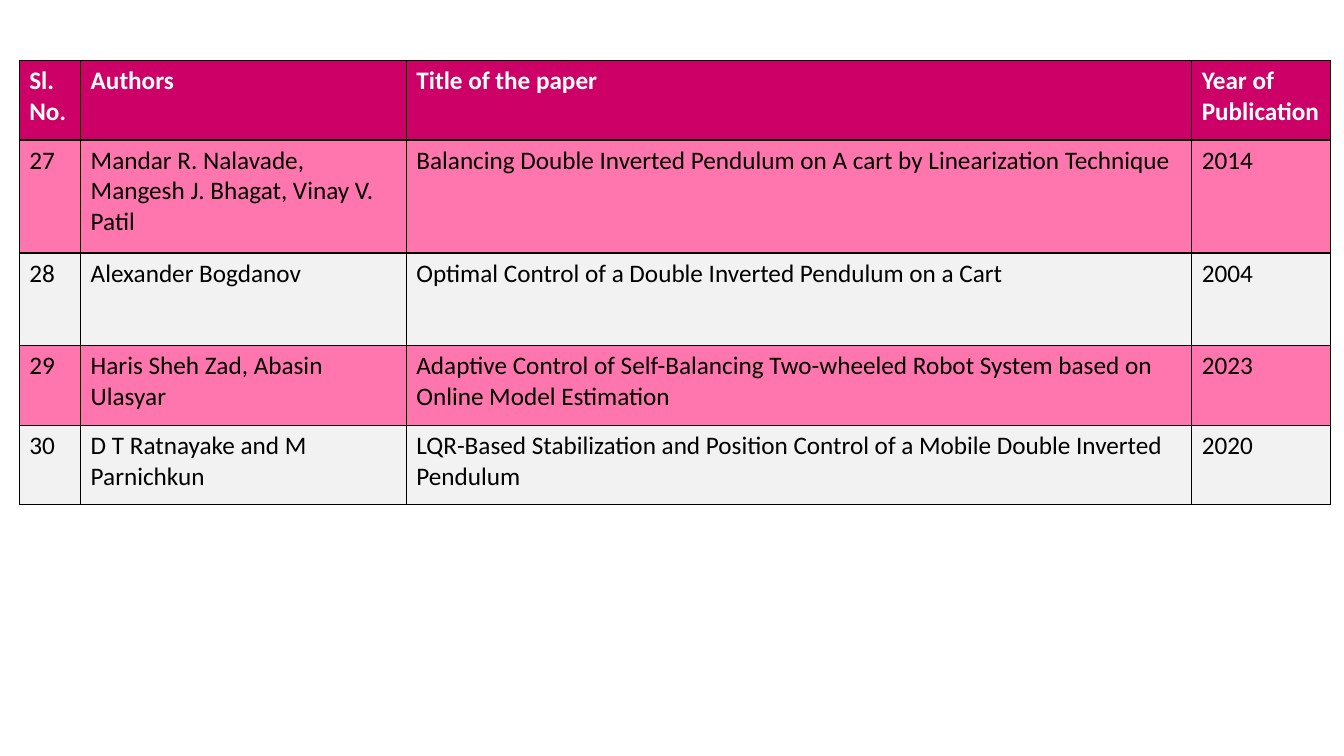
from lxml.etree import SubElement
from pptx import Presentation
from pptx.dml.color import RGBColor as RGB
from pptx.oxml.ns import qn
from pptx.util import Inches, Pt

# Content
HEAD = ("Sl. No.", "Authors", "Title of the paper", "Year of Publication")
PAPERS = [
    ("27", "Mandar R. Nalavade, Mangesh J. Bhagat, Vinay V. Patil",
     "Balancing Double Inverted Pendulum on A cart by Linearization Technique",
     "2014"),
    ("28", "Alexander Bogdanov",
     "Optimal Control of a Double Inverted Pendulum on a Cart", "2004"),
    ("29", "Haris Sheh Zad, Abasin Ulasyar",
     "Adaptive Control of Self-Balancing Two-wheeled Robot System based on "
     "Online Model Estimation", "2023"),
    ("30", "D T Ratnayake and M Parnichkun",
     "LQR-Based Stabilization and Position Control of a Mobile Double "
     "Inverted Pendulum", "2020"),
]
COLORS = {"head": "CC0066", "odd": "FF75AD", "even": "F2F2F2",
          "line": "000000", "text": "000000", "title": "FFFFFF"}
LEFT, TOP = 0.19, 0.6
WIDTHS = (0.61, 3.23, 7.79, 1.38)
HEIGHTS = (0.79, 1.12, 0.92, 0.79, 0.79)


def add_edges(cell):
    """Draw a thin line on all four sides; call before the fill is set."""
    props = cell._tc.get_or_add_tcPr()
    for side in ("lnL", "lnR", "lnT", "lnB"):
        line = SubElement(props, qn(f"a:{side}"), w=str(Pt(1)))
        fill = SubElement(line, qn("a:solidFill"))
        SubElement(fill, qn("a:srgbClr"), val=COLORS["line"])


def fill_cell(cell, text, back, ink, bold):
    add_edges(cell)
    cell.fill.solid()
    cell.fill.fore_color.rgb = RGB.from_string(COLORS[back])
    cell.text = text
    font = cell.text_frame.paragraphs[0].font
    font.name, font.size, font.bold = "Calibri", Pt(18), bold
    font.color.rgb = RGB.from_string(COLORS[ink])


def main():
    deck = Presentation()
    deck.slide_width, deck.slide_height = Inches(13.33), Inches(7.5)
    slide = deck.slides.add_slide(deck.slide_layouts[6])

    # Table of papers
    rows = [HEAD, *PAPERS]
    table = slide.shapes.add_table(
        len(rows), len(HEAD), Inches(LEFT), Inches(TOP),
        Inches(sum(WIDTHS)), Inches(sum(HEIGHTS))).table
    for col, width in zip(table.columns, WIDTHS):
        col.width = Inches(width)
    for row, height in zip(table.rows, HEIGHTS):
        row.height = Inches(height)

    # Header row, then banded rows
    for i, row in enumerate(rows):
        top = i == 0
        back = "head" if top else "odd" if i % 2 else "even"
        for j, text in enumerate(row):
            fill_cell(table.cell(i, j), text, back,
                      "title" if top else "text", top)

    deck.save("out.pptx")


if __name__ == "__main__":
    main()
